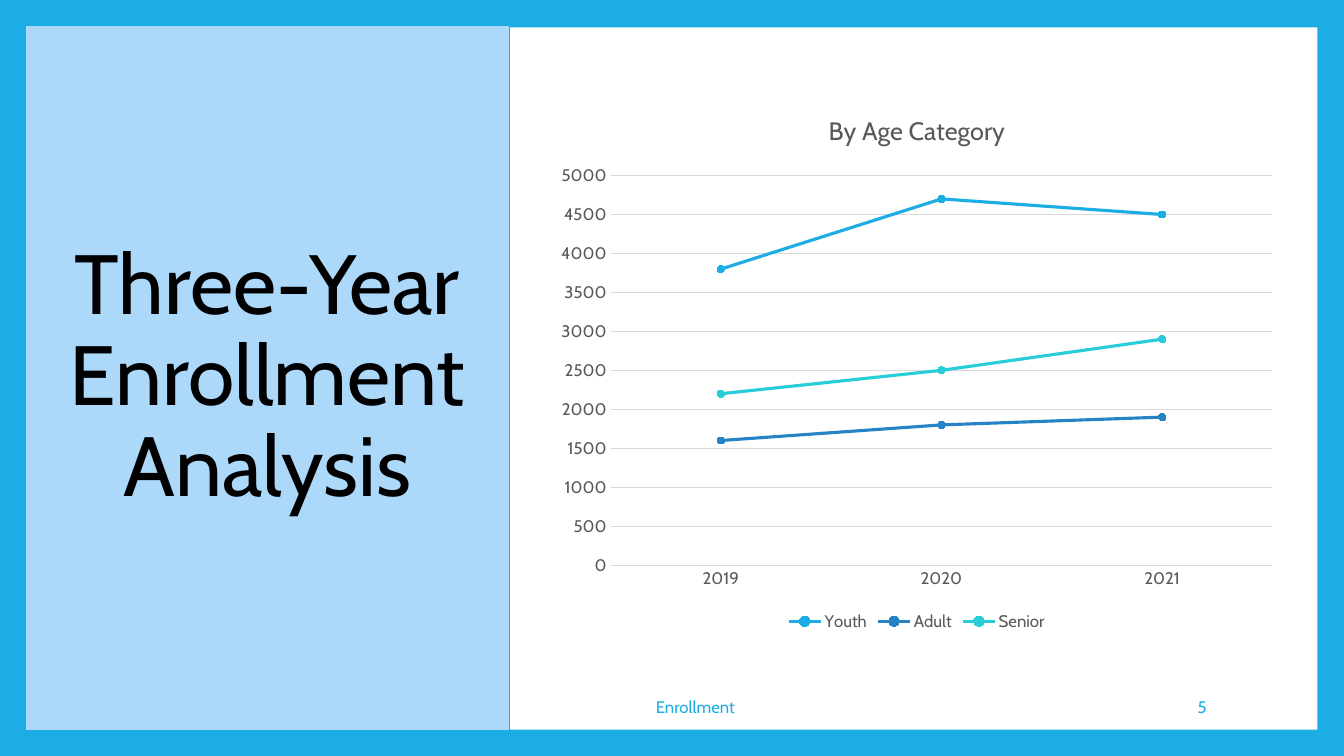
from pptx import Presentation
from pptx.chart.data import CategoryChartData
from pptx.dml.color import RGBColor
from pptx.enum.chart import (XL_CHART_TYPE, XL_LEGEND_POSITION,
                             XL_MARKER_STYLE, XL_TICK_MARK)
from pptx.enum.shapes import MSO_SHAPE
from pptx.enum.text import MSO_ANCHOR, MSO_AUTO_SIZE, PP_ALIGN
from pptx.util import Cm, Pt

FONT = "Cabin"
COLORS = {
    "blue": "1CADE4", "pale": "ACD8FA", "white": "FFFFFF", "black": "000000",
    "gray": "595959", "grid": "D9D9D9", "navy": "2683C6", "teal": "27CED7",
}
YEARS = ["2019", "2020", "2021"]
GROUPS = [
    ("Youth", [3800, 4700, 4500], "blue"),
    ("Adult", [1600, 1800, 1900], "navy"),
    ("Senior", [2200, 2500, 2900], "teal"),
]


def color(name):
    return RGBColor.from_string(COLORS[name])


def paint(fill, name):
    fill.solid()
    fill.fore_color.rgb = color(name)


def stroke(line, name, width):
    paint(line.fill, name)
    line.width = Pt(width)


def style(font, size, name):
    font.name = FONT
    font.size = Pt(size)
    font.bold = False
    font.color.rgb = color(name)


def write(shape, text, size, name, align):
    frame = shape.text_frame
    frame.text = text
    frame.word_wrap = True
    frame.auto_size = MSO_AUTO_SIZE.NONE
    frame.vertical_anchor = MSO_ANCHOR.MIDDLE
    para = frame.paragraphs[0]
    para.alignment = align
    style(para.runs[0].font, size, name)
    return para


def add_panel(slide):
    panel = slide.shapes.add_shape(
        MSO_SHAPE.RECTANGLE, Cm(0.64), Cm(0.69), Cm(32.56), Cm(17.7))
    panel.shadow.inherit = False
    paint(panel.fill, "white")
    panel.line.fill.background()
    slide.shapes.title.element.addprevious(panel.element)


def add_title(slide, text):
    title = slide.shapes.title
    title.left, title.top = Cm(0.64), Cm(0.64)
    title.width, title.height = Cm(12.19), Cm(17.78)
    paint(title.fill, "pale")
    stroke(title.line, "blue", 0.79)
    para = write(title, text, 60, "black", PP_ALIGN.CENTER)
    para.line_spacing = 0.9


def add_foot(slide, text, left, width, align):
    box = slide.shapes.add_textbox(Cm(left), Cm(17.3), Cm(width), Cm(1.02))
    write(box, text, 12, "blue", align)


def style_axis(axis):
    axis.major_tick_mark = XL_TICK_MARK.NONE
    axis.minor_tick_mark = XL_TICK_MARK.NONE
    style(axis.tick_labels.font, 12, "gray")


def add_chart(slide, text):
    data = CategoryChartData(number_format="General")
    data.categories = YEARS
    for name, values, _ in GROUPS:
        data.add_series(name, values)
    chart = slide.shapes.add_chart(
        XL_CHART_TYPE.LINE_MARKERS, Cm(13.77), Cm(2.34), Cm(18.67), Cm(13.67),
        data).chart
    style(chart.font, 10, "black")

    chart.has_title = True
    frame = chart.chart_title.text_frame
    frame.text = text
    style(frame.paragraphs[0].runs[0].font, 18, "gray")
    chart.chart_title.include_in_layout = False

    chart.has_legend = True
    chart.legend.position = XL_LEGEND_POSITION.BOTTOM
    chart.legend.include_in_layout = False
    style(chart.legend.font, 12, "gray")

    years, count = chart.category_axis, chart.value_axis
    style_axis(years)
    stroke(years.format.line, "grid", 0.75)
    style_axis(count)
    count.minimum_scale, count.maximum_scale = 0, 5000
    count.major_unit = 500
    count.format.line.fill.background()
    stroke(count.major_gridlines.format.line, "grid", 0.75)

    plot = chart.plots[0]
    plot.vary_by_categories = False
    for line, (_, _, name) in zip(plot.series, GROUPS):
        line.smooth = False
        stroke(line.format.line, name, 2.25)
        line.marker.style = XL_MARKER_STYLE.CIRCLE
        line.marker.size = 5
        paint(line.marker.format.fill, name)
        stroke(line.marker.format.line, name, 0.75)


def main():
    deck = Presentation()
    deck.slide_width, deck.slide_height = Cm(33.87), Cm(19.05)
    slide = deck.slides.add_slide(deck.slide_layouts[5])
    paint(slide.background.fill, "blue")
    add_panel(slide)
    add_title(slide, "Three-Year Enrollment Analysis")
    add_chart(slide, "By Age Category")
    add_foot(slide, "Enrollment", 10.97, 13.11, PP_ALIGN.CENTER)
    add_foot(slide, "5", 25.91, 4.75, PP_ALIGN.RIGHT)
    deck.save("out.pptx")


if __name__ == "__main__":
    main()
